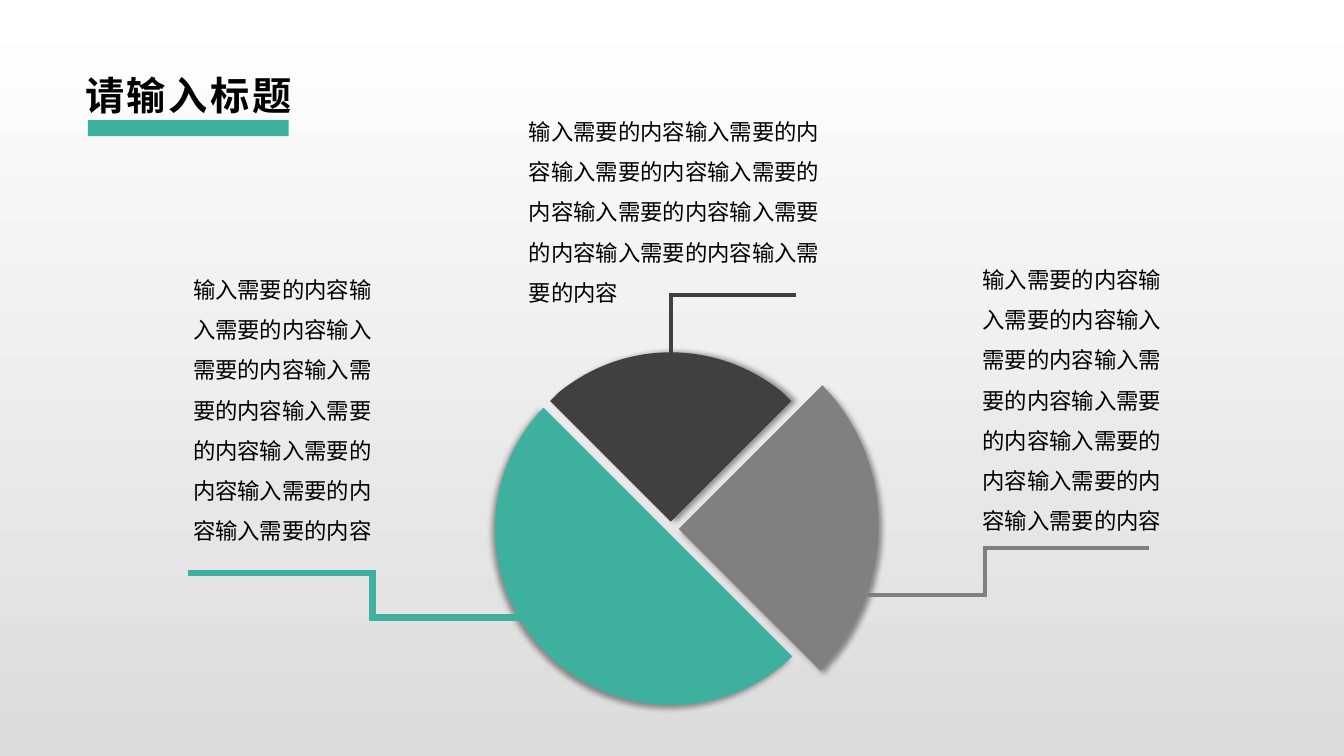
from dataclasses import dataclass
from itertools import chain, islice

from lxml.etree import Element, SubElement
from pptx import Presentation
from pptx.dml.color import RGBColor
from pptx.enum.shapes import MSO_CONNECTOR as Connector, MSO_SHAPE as Shape
from pptx.enum.text import MSO_ANCHOR as Anchor, MSO_AUTO_SIZE as AutoSize
from pptx.oxml.ns import qn
from pptx.util import Inches, Pt

CELL = Inches(1) / 12
COLUMNS, ROWS = 160, 90
BODY = "输入需要的内容" * 8

# Sector outlines in cells: one point is a straight step, three are a curve.
TOP_SECTOR = [[(0, 20.3)], [(0, 0)], [(1.5, 0)],
              [(11.5, 1.05), (19.25, 8.8), (20.3, 18.8)], [(20.3, 20.3)]]
RIGHT_SECTOR = [[(0, 0)], [(24.2, 0)], [(24.1, 1.7)],
                [(23.1, 13.3), (13.7, 22.6), (1.8, 23.7)], [(0, 23.9)]]
LEFT_SECTOR = [[(41.9, 20.4)], [(0, 20.4)], [(0.1, 18.85)],
               [(1.15, 8.2), (10.1, 0), (20.95, 0)],
               [(31.8, 0), (40.75, 8.2), (41.8, 18.85)]]


@dataclass(frozen=True)
class Theme:
    teal: str = "3DB19E"
    gray: str = "808080"
    dark: str = "404040"
    ink: str = "000000"
    sky: str = "FFFFFF"
    ground: str = "DCDCDC"
    font: str = "Noto Sans CJK SC"
    title_size: int = 28
    body_size: int = 16
    line_spacing: float = 1.5


THEME = Theme()


def cells(*counts):
    """Turn counts of grid cells into slide lengths."""
    return [round(count * CELL) for count in counts]


def color(code):
    return RGBColor.from_string(code)


def paint_background(slide):
    fill = slide.background.fill
    fill.gradient()
    fill.gradient_angle = 270
    for stop, code in zip(fill.gradient_stops, (THEME.sky, THEME.ground)):
        stop.color.rgb = color(code)


def fill_plain(shape, code):
    shape.fill.solid()
    shape.fill.fore_color.rgb = color(code)
    shape.line.fill.background()
    shape.shadow.inherit = False


def add_text(slide, box, text, size):
    text_box = slide.shapes.add_textbox(*cells(*box))
    frame = text_box.text_frame
    frame.word_wrap = True
    frame.text = text
    paragraph = frame.paragraphs[0]
    paragraph.line_spacing = THEME.line_spacing
    run = paragraph.runs[0]
    run.font.size = Pt(size)
    run.font.name = THEME.font
    run.font.color.rgb = color(THEME.ink)
    SubElement(run.font._element, qn("a:ea"), typeface=THEME.font)
    return frame


def add_title(slide, text):
    frame = add_text(slide, (8.8, 5.65, 142.4, 8.5), text, THEME.title_size)
    frame.vertical_anchor = Anchor.MIDDLE
    frame.margin_left, frame.margin_right = Inches(0.11), Inches(0.08)
    frame.margin_top = frame.margin_bottom = Inches(0.04)
    font = frame.paragraphs[0].runs[0].font
    font.bold = True
    font._element.set("spc", "200")
    bar = slide.shapes.add_shape(Shape.RECTANGLE, *cells(10.45, 14.3, 23.9, 1.9))
    fill_plain(bar, THEME.teal)


def add_shadow(shape, direction):
    effects = shape._element.spPr.find(qn("a:effectLst"))
    shadow = SubElement(effects, qn("a:outerShdw"), blurRad=str(Pt(4)),
                        dist=str(Pt(3)), dir=str(direction * 60000),
                        algn="ctr", rotWithShape="0")
    tone = SubElement(shadow, qn("a:srgbClr"), val=THEME.ink)
    SubElement(tone, qn("a:alpha"), val="40000")


def bend_curves(shape, steps):
    """Join the three straight pieces of each curved step into one curve."""
    outline = next(shape._element.iter(qn("a:path")))
    pieces = iter(outline.findall(qn("a:lnTo")))
    for step in steps:
        group = list(islice(pieces, len(step)))
        if len(step) == 3:
            curve = Element(qn("a:cubicBezTo"))
            group[0].addprevious(curve)
            for piece in group:
                curve.append(piece[0])
                outline.remove(piece)


def add_sector(group, corner, steps, rotation, code, shadow_direction):
    (start,), *following = steps
    builder = group.shapes.build_freeform(*cells(*start))
    builder.add_line_segments(
        [cells(*point) for point in chain.from_iterable(following)], close=True)
    sector = builder.convert_to_shape(*cells(*corner))
    bend_curves(sector, following)
    sector.rotation = rotation
    fill_plain(sector, code)
    add_shadow(sector, shadow_direction)


def add_leader(slide, start, end, turn, code, width):
    """Draw an elbow line whose upright part stands at column turn."""
    leader = slide.shapes.add_connector(Connector.ELBOW, *cells(*start, *end))
    leader.line.color.rgb = color(code)
    leader.line.width = Pt(width)
    properties = leader._element.spPr
    SubElement(properties.find(qn("a:ln")), qn("a:miter"), lim="800000")
    share = (turn - start[0]) / (end[0] - start[0])
    guides = properties.find(qn("a:prstGeom")).get_or_add_avLst()
    SubElement(guides, qn("a:gd"), name="adj1", fmla=f"val {round(share * 100000)}")
    SubElement(properties, qn("a:effectLst"))


def main():
    presentation = Presentation()
    presentation.slide_width, presentation.slide_height = cells(COLUMNS, ROWS)
    slide = presentation.slides.add_slide(presentation.slide_layouts[6])
    paint_background(slide)

    pie = slide.shapes.add_group_shape()
    add_sector(pie, (69.7, 37.6), TOP_SECTOR, 315, THEME.dark, 0)
    add_sector(pie, (85.7, 50.9), RIGHT_SECTOR, 315, THEME.gray, 45)
    add_sector(pie, (51.35, 60.35), LEFT_SECTOR, 225, THEME.teal, 135)

    add_title(slide, "请输入标题")
    for box in ((61.8, 11.86, 37.9, 25),
                (21.8, 30.65, 25.1, 34.7),
                (115.8, 29.46, 25.1, 34.7)):
        frame = add_text(slide, box, BODY, THEME.body_size)
        frame.auto_size = AutoSize.SHAPE_TO_FIT_TEXT

    add_leader(slide, (61.8, 73.52), (22.4, 68.25), 44.35, THEME.teal, 4.5)
    add_leader(slide, (101.15, 70.87), (136.8, 65.25), 117.25, THEME.gray, 3)
    add_leader(slide, (78.7, 45.1), (94.75, 35.1), 79.88, THEME.dark, 3)

    presentation.save("out.pptx")


if __name__ == "__main__":
    main()
